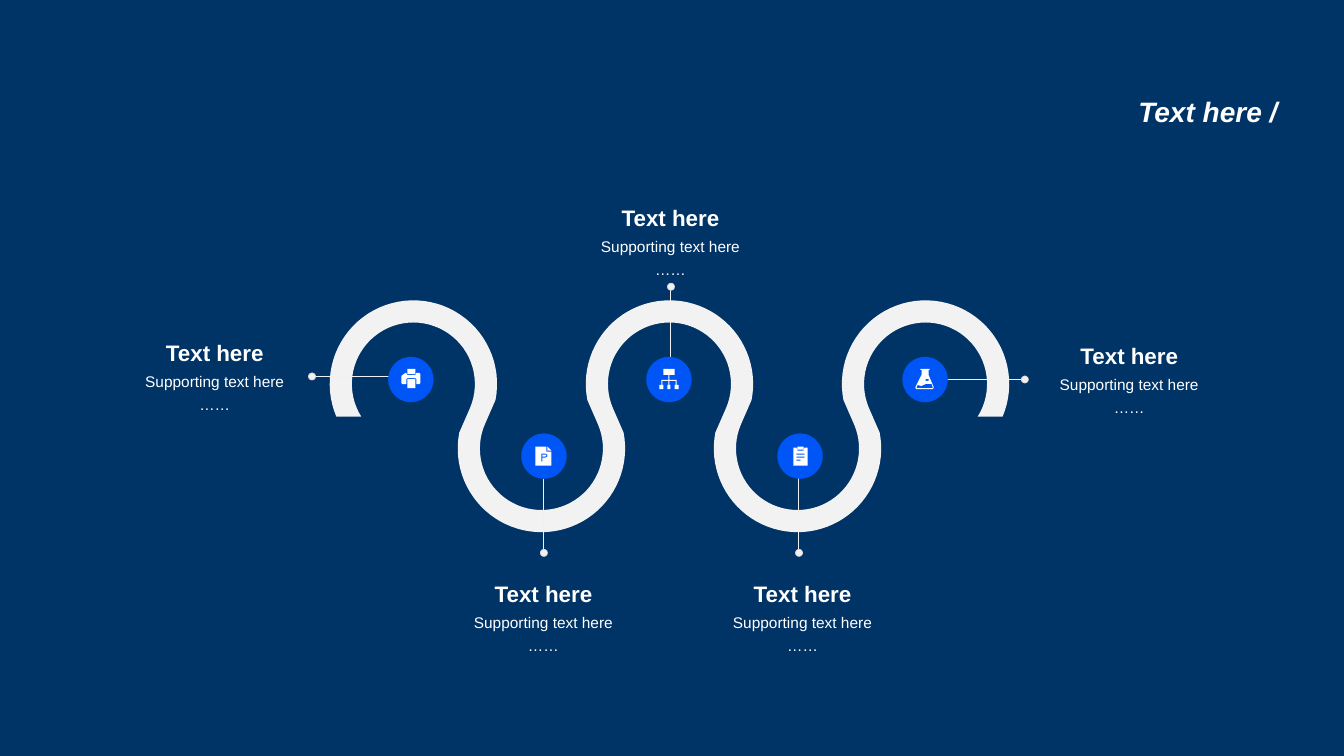
from math import cos, radians, sin

from lxml.etree import SubElement
from pptx import Presentation
from pptx.dml.color import RGBColor
from pptx.enum.shapes import MSO_CONNECTOR as Link, MSO_SHAPE as Kind
from pptx.enum.text import MSO_ANCHOR as Anchor, PP_ALIGN as Align
from pptx.oxml.ns import qn
from pptx.util import Pt

PX = 9144  # 100 px to the inch
WIDE, HIGH = 1333, 750
NAVY, BLUE, WHITE = "003366", "0055F7", "FFFFFF"
BAND, PALE, EDGE = "F2F2F2", "F0F0F0", "D9D9D9"

# Wave: arcs in turn above and below, one step apart
LEFT, STEP, COUNT = 410, 127, 5
TOP, LOW = 381, 445
OUTER, INNER = 83, 61


def px(*sizes):
    return [round(size * PX) for size in sizes]


def color(code):
    return RGBColor.from_string(code)


def box(left, top, right, bottom):
    """Return the corners of a rectangle."""
    return [(left, top), (right, top), (right, bottom), (left, bottom)]


FLASK = [
    [(18, 12), (27, 12), (27, 13), (26, 13), (26, 18), (31, 30), (31, 31),
     (30, 32), (14, 32), (13, 31), (13, 30), (19, 18), (19, 13), (18, 13)],
    [(23, 27), (19, 29), (15, 28), (14, 31), (30, 31), (30, 30), (29, 27)],
    box(23, 22, 26, 24),
]
CHART = [
    box(17, 12, 28, 18), box(22, 18, 23, 28),
    box(15, 23, 22, 24), box(23, 23, 30, 24),
    box(15, 24, 16, 28), box(29, 24, 30, 28),
    box(13, 28, 17, 32), box(21, 28, 24, 32), box(28, 28, 32, 32),
]
PRINTER = [
    box(19, 12, 27, 17), box(19, 22, 27, 31),
    [(18, 16), (19, 18), (27, 18), (28, 16), (31, 16), (32, 17), (32, 26),
     (31, 27), (28, 27), (28, 22), (27, 21), (19, 21), (18, 22), (18, 27),
     (14, 27), (13, 26), (13, 19), (17, 16)],
]
BOARD = [
    [(16, 14), (19, 14), (20, 17), (26, 17), (27, 14), (30, 14), (30, 32),
     (16, 32)],
    box(20, 13, 26, 16),
    box(19, 20, 27, 21), box(19, 23, 27, 24), box(19, 26, 23, 27),
]
PAGE = [
    [(14, 13), (25, 13), (25, 18), (30, 18), (30, 32), (14, 32)],
    [(26, 13), (30, 17), (26, 17)],
    [(20, 20), (24, 20), (26, 21), (26, 23), (24, 24), (21, 24), (21, 28),
     (20, 28)],
    [(21, 21), (24, 21), (25, 22), (24, 23), (21, 23)],
]

# Icon, disc corner, line start, line end with dot, label corner
STOPS = [
    (PRINTER, (385, 354), (400, 373), (309, 373), (127, 325)),
    (PAGE, (517, 430), (539, 466), (539, 548), (453, 564)),
    (CHART, (641, 354), (665, 366), (665, 284), (579, 191)),
    (BOARD, (771, 430), (792, 466), (792, 548), (710, 564)),
    (FLASK, (895, 354), (926, 376), (1016, 376), (1034, 328)),
]


def paint(shape, fill, line=None):
    shape.shadow.inherit = False
    shape.fill.solid()
    shape.fill.fore_color.rgb = color(fill)
    if line:
        shape.line.color.rgb = color(line)
        shape.line.width = Pt(0.5)
    else:
        shape.line.fill.background()


def outline(slide, rings, fill, left=0, top=0):
    """Draw closed rings as one shape; an inner ring is a hole."""
    pen = None
    for ring in rings:
        first, *rest = [px(left + x, top + y) for x, y in ring]
        if pen is None:
            pen = slide.shapes.build_freeform(*first, scale=1.0)
        else:
            pen.move_to(*first)
        pen.add_line_segments(rest, close=True)
    paint(pen.convert_to_shape(), fill)


def oval(slide, left, top, size, fill, line=None):
    paint(slide.shapes.add_shape(Kind.OVAL, *px(left, top, size, size)),
          fill, line)


def rule(slide, start, end):
    line = slide.shapes.add_connector(Link.STRAIGHT, *px(*start, *end))
    line.line.color.rgb = color(PALE)
    line.line.width = Pt(0.5)
    SubElement(line._element.spPr, qn("a:effectLst"))


def write(slide, text, left, top, width, height, *, size, bold=False,
          italic=False, align=Align.CENTER, anchor=Anchor.MIDDLE, space=1.0):
    frame = slide.shapes.add_textbox(*px(left, top, width, height)).text_frame
    frame.word_wrap = True
    frame.vertical_anchor = anchor
    frame.text = text
    for para in frame.paragraphs:
        para.alignment = align
        para.line_spacing = space
        font = para.runs[0].font
        font.name, font.size = "Arial", Pt(size)
        font.bold, font.italic = bold, italic
        font.color.rgb = color(WHITE)


def label(slide, left, top):
    write(slide, "Text here", left, top, 172, 49, size=16, bold=True)
    write(slide, "Supporting text here\n……", left, top + 36, 172, 58,
          size=11, anchor=Anchor.TOP, space=1.2)


def arc(x, y, radius, start, end, parts=48):
    turns = [radians(start + (end - start) * i / parts)
             for i in range(parts + 1)]
    return [(x + radius * cos(t), y + radius * sin(t)) for t in turns]


def edge(high, low, tip):
    """Follow one side of the wave; high and low are (radius, overrun)."""
    points = []
    for i in range(COUNT):
        x = LEFT + i * STEP
        if i % 2:
            radius, lag = low
            points += arc(x, LOW, radius, 180 + lag, -lag)
        else:
            radius, lag = high
            start = tip if i == 0 else lag
            end = tip if i == COUNT - 1 else lag
            points += arc(x, TOP, radius, 180 - start, 360 + end)
    return points


def wave(slide):
    wide, tight = (OUTER, 11), (INNER, 23)
    upper = edge(wide, tight, 23)
    under = edge(tight, wide, 32)
    outline(slide, [upper + under[::-1]], BAND)


def main():
    deck = Presentation()
    deck.slide_width, deck.slide_height = px(WIDE, HIGH)
    slide = deck.slides.add_slide(deck.slide_layouts[6])
    back = slide.background.fill
    back.solid()
    back.fore_color.rgb = color(NAVY)

    wave(slide)
    write(slide, "Text here /", 90, 20, 1187, 112, size=20, bold=True,
          italic=True, align=Align.RIGHT, anchor=Anchor.BOTTOM, space=0.9)
    for icon, disc, start, end, corner in STOPS:
        rule(slide, start, end)
        oval(slide, end[0] - 3, end[1] - 3, 7, PALE, EDGE)
        label(slide, *corner)
        oval(slide, *disc, 45, BLUE)
        outline(slide, icon, WHITE, *disc)
    deck.save("out.pptx")


if __name__ == "__main__":
    main()
